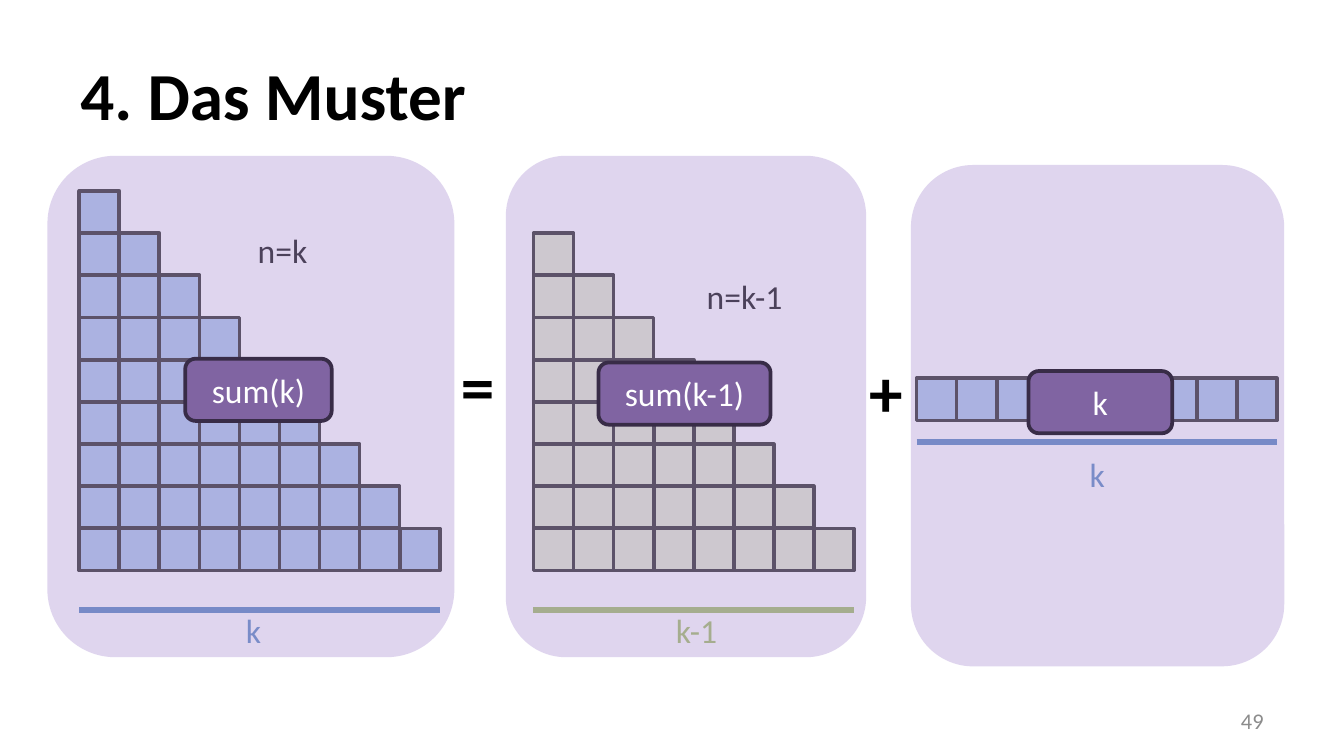
from lxml import etree
from pptx import Presentation
from pptx.dml.color import RGBColor
from pptx.enum.shapes import MSO_CONNECTOR, MSO_SHAPE
from pptx.enum.text import MSO_ANCHOR, PP_ALIGN
from pptx.oxml.ns import qn
from pptx.util import Pt

RECTANGLE, ROUNDED = MSO_SHAPE.RECTANGLE, MSO_SHAPE.ROUNDED_RECTANGLE
STRAIGHT = MSO_CONNECTOR.STRAIGHT
TOP, MIDDLE = MSO_ANCHOR.TOP, MSO_ANCHOR.MIDDLE
LEFT, CENTER, RIGHT = PP_ALIGN.LEFT, PP_ALIGN.CENTER, PP_ALIGN.RIGHT

BLACK = RGBColor(0x00, 0x00, 0x00)
WHITE = RGBColor(0xFF, 0xFF, 0xFF)
GRAY = RGBColor(0x8C, 0x8C, 0x8C)
BLUE_CELL = RGBColor(0x55, 0x8E, 0xD5)
GREEN_CELL = RGBColor(0xC3, 0xD6, 0x9B)
CELL_EDGE = RGBColor(0x1C, 0x1E, 0x19)
BLUE_LINE = RGBColor(0x4B, 0x7E, 0xBC)
BLUE_TEXT = RGBColor(0x4F, 0x81, 0xBD)
GREEN = RGBColor(0x9B, 0xBB, 0x59)
PANEL = RGBColor(0xB5, 0x9C, 0xD8)
PURPLE = RGBColor(0x80, 0x64, 0xA2)
PURPLE_EDGE = RGBColor(0x38, 0x2C, 0x47)

FONT = "Calibri"
CELL_WIDTH, CELL_HEIGHT = 21.45, 22.6
BASE_TOP = 283.1
FULL_LEFT, SMALLER_LEFT, ROW_LEFT = 42.5, 285.8, 491
FULL_COUNT = 9


def write(shape, text, size, color, align, anchor, bold=False):
    """Put one formatted line of text into a shape."""
    frame = shape.text_frame
    frame.text = text
    frame.word_wrap = True
    frame.vertical_anchor = anchor
    para = frame.paragraphs[0]
    para.alignment = align
    font = para.runs[0].font
    font.name, font.size, font.bold = FONT, Pt(size), bold
    font.color.rgb = color


def add_label(page, bounds, text, color=BLACK, size=18, align=LEFT, anchor=TOP, bold=False):
    """Add a text box with one line."""
    box = page.shapes.add_textbox(*map(Pt, bounds))
    write(box, text, size, color, align, anchor, bold)


def add_block(shapes, kind, bounds, fill, edge=None, opacity=100):
    """Add a filled shape, with an optional edge and transparency."""
    block = shapes.add_shape(kind, *map(Pt, bounds))
    block.shadow.inherit = False
    block.fill.solid()
    block.fill.fore_color.rgb = fill
    if opacity < 100:
        color = block.fill._xPr.find(qn("a:solidFill"))[0]
        etree.SubElement(color, qn("a:alpha")).set("val", str(opacity * 1000))
    if edge is None:
        block.line.fill.background()
    else:
        block.line.color.rgb = edge
        block.line.width = Pt(2)
    return block


def add_cells(page, left, bottom_top, positions, fill):
    """Add a group of grid cells at (column, row above the base) positions."""
    group = page.shapes.add_group_shape()
    for column, row in positions:
        bounds = (left + column * CELL_WIDTH, bottom_top - row * CELL_HEIGHT,
                  CELL_WIDTH, CELL_HEIGHT)
        add_block(group.shapes, RECTANGLE, bounds, fill, CELL_EDGE, 53)


def staircase(count):
    """Return the positions of a staircase with count cells at its base."""
    return [(column, row) for row in range(count) for column in range(count - row)]


def add_measure(page, left, top, count, color):
    """Add a line as wide as count cells."""
    line = page.shapes.add_connector(
        STRAIGHT, Pt(left), Pt(top), Pt(left + count * CELL_WIDTH), Pt(top))
    line.line.color.rgb = color
    line.line.width = Pt(3.25)
    etree.SubElement(line._element.spPr, qn("a:effectLst"))


def add_badge(page, bounds, text):
    """Add a purple badge with centred text."""
    badge = add_block(page.shapes, ROUNDED, bounds, PURPLE, PURPLE_EDGE)
    write(badge, text, 18, WHITE, CENTER, MIDDLE)


def main():
    """Build the slide on the sum pattern."""
    deck = Presentation()
    deck.slide_width, deck.slide_height = Pt(720), Pt(405)
    page = deck.slides.add_slide(deck.slide_layouts[6])

    add_label(page, (36, 16.5, 648, 67.7), "4. Das Muster", size=36, anchor=MIDDLE, bold=True)
    add_label(page, (516, 375.2, 168, 21.6), "49", GRAY, 12, RIGHT, MIDDLE)

    add_cells(page, FULL_LEFT, BASE_TOP, staircase(FULL_COUNT), BLUE_CELL)
    add_label(page, (239.8, 180.7, 31, 51), "=", size=36, bold=True)
    add_cells(page, SMALLER_LEFT, BASE_TOP, staircase(FULL_COUNT - 1), GREEN_CELL)
    add_label(page, (458.6, 184.3, 31, 51), "+", size=36, bold=True)
    row_ends = [(column, 0) for column in (0, 1, 2, 6, 7, 8)]
    add_cells(page, ROW_LEFT, 202.7, row_ends, BLUE_CELL)

    add_measure(page, FULL_LEFT, 327, FULL_COUNT, BLUE_LINE)
    add_measure(page, ROW_LEFT, 236.7, FULL_COUNT, BLUE_LINE)
    add_measure(page, SMALLER_LEFT, 327, FULL_COUNT - 1, GREEN)

    add_label(page, (124.6, 323.3, 28, 29), "k", BLUE_TEXT)
    add_label(page, (355, 323.3, 40, 29), "k-1", GREEN)
    add_label(page, (576.7, 239.8, 28, 29), "k", BLUE_TEXT)
    add_label(page, (131, 119.5, 45.4, 29), "n=k")
    add_label(page, (371.5, 144, 65.5, 29), "n=k-1")

    for left, top, width in ((25.4, 83.5, 218), (271, 83.5, 193), (488, 88.4, 200)):
        add_block(page.shapes, ROUNDED, (left, top, width, 268.6), PANEL, opacity=42)

    add_badge(page, (99.2, 192.2, 78.5, 33.3), "sum(k)")
    add_badge(page, (320.6, 194.2, 92.2, 33.3), "sum(k-1)")
    add_badge(page, (551, 198.8, 77, 33.3), "k")

    deck.save("out.pptx")


if __name__ == "__main__":
    main()
